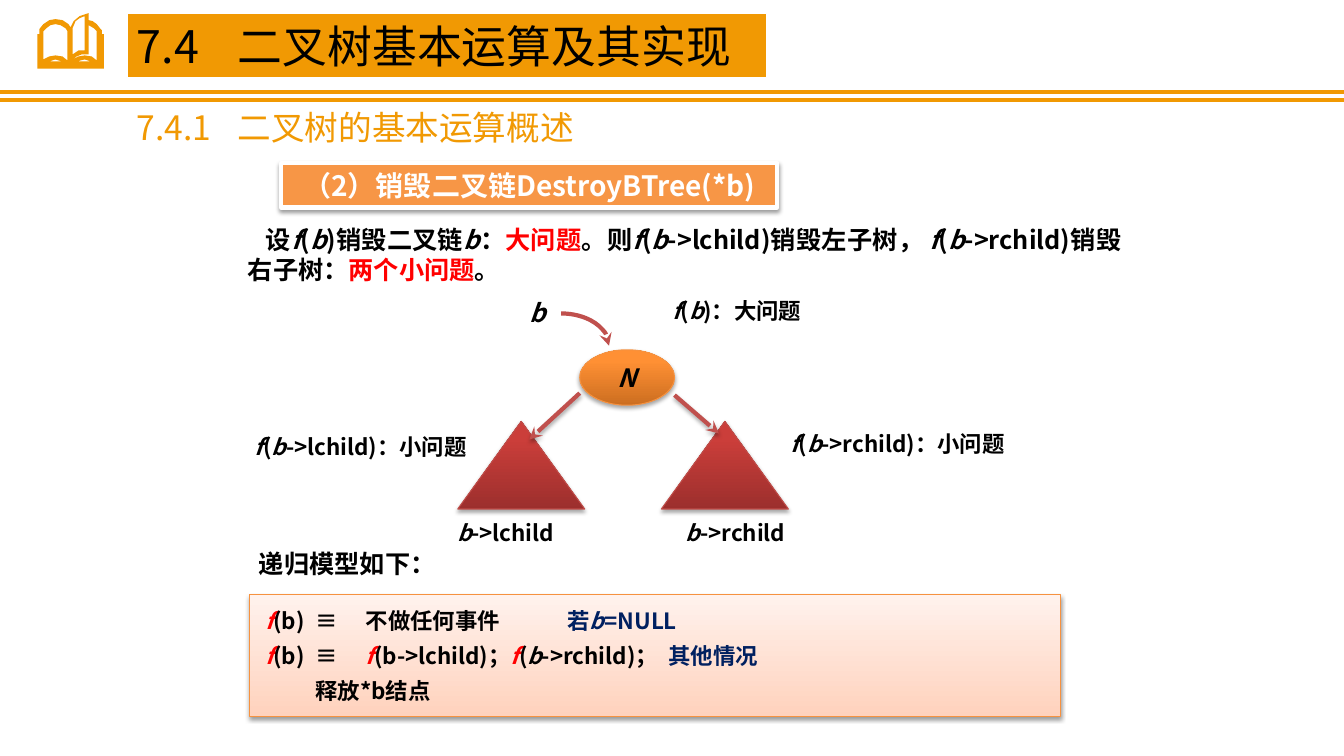
from lxml.etree import SubElement
from pptx import Presentation
from pptx.dml.color import RGBColor
from pptx.enum.shapes import MSO_CONNECTOR, MSO_SHAPE
from pptx.enum.text import MSO_ANCHOR, PP_ALIGN
from pptx.oxml.ns import qn
from pptx.util import Emu, Inches, Pt

FONT = "Noto Sans CJK SC"
COLORS = {
    "gold": "F19903", "orange": "F79646", "edge": "F69240", "white": "FFFFFF",
    "black": "000000", "red": "FF0000", "navy": "002060", "arrow": "C0504D",
    "node_dark": "CC6E20", "node_light": "FF9034",
    "tree_dark": "9C2F2D", "tree_light": "CB3E3A", "tree_edge": "BF4C48",
    "model_dark": "FFD2BD", "model_light": "FFF2ED",
}
COLS, ROWS = 133.3, 75  # grid cells, a tenth of an inch each


def rgb(name):
    return RGBColor.from_string(COLORS[name])


class SlideBuilder:
    def __init__(self, prs):
        self.slide = prs.slides.add_slide(prs.slide_layouts[6])
        self.col = prs.slide_width / COLS
        self.row = prs.slide_height / ROWS

    def grid(self, *cells):
        """Turn alternating columns and rows into lengths."""
        return [Emu(round(c * (self.row if i % 2 else self.col)))
                for i, c in enumerate(cells)]

    def effects(self, sp, alpha=0):
        """Give the shape a soft shadow below it, or none."""
        props = sp._element.spPr
        for old in props.findall(qn("a:effectLst")):
            props.remove(old)
        effects = SubElement(props, qn("a:effectLst"))
        if alpha:
            shadow = SubElement(effects, qn("a:outerShdw"), blurRad=str(Pt(3.1)),
                                dist=str(Pt(1.7)), dir="5400000", rotWithShape="0")
            color = SubElement(shadow, qn("a:srgbClr"), val=COLORS["black"])
            SubElement(color, qn("a:alpha"), val=str(alpha * 1000))

    def stroke(self, sp, color, width, arrow=False):
        sp.line.color.rgb = rgb(color)
        sp.line.width = Pt(width)
        if arrow:
            SubElement(sp._element.spPr.find(qn("a:ln")), qn("a:tailEnd"), type="stealth")

    def shape(self, kind, box, fill=None, line=None, width=0.75, shadow=0, arrow=False):
        """fill is a colour, a (bottom, top, stop) gradient or nothing."""
        sp = self.slide.shapes.add_shape(kind, *self.grid(*box))
        if isinstance(fill, tuple):
            bottom, top, stop = fill
            sp.fill.gradient()
            sp.fill.gradient_angle = 90
            for gs, color, pos in zip(sp.fill.gradient_stops, (bottom, top), (0, stop)):
                gs.color.rgb, gs.position = rgb(color), pos
        elif fill:
            sp.fill.solid()
            sp.fill.fore_color.rgb = rgb(fill)
        else:
            sp.fill.background()
        self.stroke(sp, line, width, arrow)
        self.effects(sp, shadow)
        return sp

    def line(self, ends, color, arrow=False, shadow=0):
        sp = self.slide.shapes.add_connector(MSO_CONNECTOR.STRAIGHT, *self.grid(*ends))
        self.stroke(sp, color, 3, arrow)
        self.effects(sp, shadow)

    def outline(self, contours, color):
        first, *others = contours
        builder = self.slide.shapes.build_freeform(*first[0], scale=self.col / 10)
        builder.add_line_segments(first[1:])
        for contour in others:
            builder.move_to(*contour[0])
            builder.add_line_segments(contour[1:])
        sp = builder.convert_to_shape()
        sp.fill.solid()
        sp.fill.fore_color.rgb = rgb(color)
        sp.line.fill.background()
        self.effects(sp)

    def text(self, box, *paragraphs, **style):
        sp = self.slide.shapes.add_textbox(*self.grid(*box))
        self.set_text(sp, *paragraphs, **style)

    def set_text(self, sp, *paragraphs, size=16, color="black", bold=True,
                 align=PP_ALIGN.LEFT, tabs=(), indents=(0,), before=0,
                 inset=(0.1, 0.05), wrap=True):
        """A paragraph lists (text, colour) parts; _ switches italics on and off."""
        tf = sp.text_frame
        tf.word_wrap = wrap
        tf.vertical_anchor = MSO_ANCHOR.MIDDLE
        tf.margin_left = tf.margin_right = Inches(inset[0])
        tf.margin_top = tf.margin_bottom = Inches(inset[1])
        for i, parts in enumerate(paragraphs):
            p = tf.add_paragraph() if i else tf.paragraphs[0]
            p.alignment = align
            if i:
                p.space_before = Pt(before)
            props = p._p.get_or_add_pPr()
            props.set("indent", str(Inches(indents[i])))
            if tabs:
                stops = SubElement(props, qn("a:tabLst"))
                for stop in tabs:
                    SubElement(stops, qn("a:tab"), pos=str(Inches(stop)), algn="l")
            p.font.size, p.font.bold, p.font.name = Pt(size), bold, FONT
            p.font.color.rgb = rgb(color)
            SubElement(props.find(qn("a:defRPr")), qn("a:ea"), typeface=FONT)
            if isinstance(parts, str):
                parts = [(parts, color)]
            for part, part_color in parts:
                for n, piece in enumerate(part.split("_")):
                    if piece:
                        r = p.add_run()
                        r.text = piece
                        r.font.italic = n % 2 == 1
                        r.font.color.rgb = rgb(part_color)


def main():
    prs = Presentation()
    prs.slide_width, prs.slide_height = Inches(13.33), Inches(7.5)
    s = SlideBuilder(prs)

    # Header rules and open book icon, in hundredths of an inch
    for y in (9.1, 9.9):
        s.line((0, y, COLS, y), "gold")
    s.outline([
        [(101, 34), (101, 30), (100, 29), (96, 24), (92, 21), (88, 20), (88, 13),
         (79, 16), (73, 21), (70, 27), (68, 24), (62, 20), (55, 19), (49, 20),
         (43, 24), (39, 29), (39, 34), (37, 34), (37, 68), (103, 68), (103, 34)],
        [(49, 61), (52, 59.5), (55, 59), (58, 59.5), (62, 61)],
        [(67, 60), (62, 56), (55, 55), (49, 56), (43, 59), (43, 31), (46, 28),
         (50, 25), (55, 24), (60, 25), (65, 28), (67, 31)],
        [(84, 16), (84, 50), (78, 50.5), (72, 54), (72, 28), (75, 21), (79, 18)],
        [(77, 61), (80, 59.5), (84, 59), (87, 59.5), (90, 61)],
        [(96, 60), (91, 56), (84, 55), (78, 56), (72, 59), (76, 55.5), (81, 54),
         (88, 54), (88, 25), (93, 28), (96, 31)],
    ], "gold")

    # Title and section
    title = s.shape(MSO_SHAPE.RECTANGLE, (12.6, 1.3, 63.4, 6.4), "gold", "white")
    s.set_text(title, "7.4\t二叉树基本运算及其实现", size=32, bold=False, tabs=(0.93,))
    s.text((12.6, 10.1, 63.3, 5), "7.4.1\t二叉树的基本运算概述",
           size=24, color="gold", bold=False, tabs=(1.04,))

    # Operation and its description
    label = s.shape(MSO_SHAPE.RECTANGLE, (27.9, 16.2, 49.2, 4.4), "orange", "white", 3, 38)
    s.set_text(label, "（2）销毁二叉链DestroyBTree(*b)", size=20, color="white",
               align=PP_ALIGN.CENTER)
    s.text((23.6, 21.7, 88.6, 7.1),
           [("设_f_(_b_)销毁二叉链_b_：", "black"), ("大问题", "red"),
            ("。则_f_(_b_->lchild)销毁左子树，_ f_(_b_->rchild)销毁右子树：", "black"),
            ("两个小问题", "red"), ("。", "black")],
           size=18, align=PP_ALIGN.JUSTIFY, indents=(0.18,))

    # Tree diagram
    node = s.shape(MSO_SHAPE.OVAL, (57.5, 34.7, 9.4, 5.5),
                   ("node_dark", "node_light", 0.8), "edge", shadow=35)
    s.set_text(node, "_N_", size=18, align=PP_ALIGN.CENTER, wrap=False)
    s.shape(MSO_SHAPE.ARC, (50.9, 31.1, 9.5, 6.4), None, "arrow", 3, arrow=True)
    s.text((49.4, 29, 7.9, 4), "_b_", size=18, align=PP_ALIGN.CENTER)
    children = [
        ("_b_->lchild", 45.4, 40.7, (57.5, 39, 52.5, 43.6)),
        ("_b_->rchild", 65.6, 63.5, (66.9, 39.2, 71.3, 43)),
    ]
    for name, tree_x, name_x, branch in children:
        s.shape(MSO_SHAPE.ISOSCELES_TRIANGLE, (tree_x, 41.8, 12.6, 8.7),
                ("tree_dark", "tree_light", 0.8), "tree_edge", shadow=35)
        s.line(branch, "arrow", arrow=True, shadow=35)
        s.text((name_x, 51, 18.9, 3.7), name, align=PP_ALIGN.CENTER)

    # Problem labels
    for x, y, width, problem in [
        (65.7, 29, 18.8, "_f_(_b_)：大问题"),
        (24.3, 42.5, 24.7, "_f_(_b_->lchild)：小问题"),
        (77.4, 42.2, 27.1, "_f_(_b_->rchild)：小问题"),
    ]:
        s.text((x, y, width, 3.7), problem)

    # Recursive model
    s.text((24.7, 53.9, 39.8, 4), "递归模型如下：", size=18)
    model = s.shape(MSO_SHAPE.RECTANGLE, (24.7, 59, 80.5, 12.1),
                    ("model_dark", "model_light", 1), "edge", shadow=38)
    s.set_text(model,
               [("_f_", "red"), ("(b)\t≡\t不做任何事件\t\t", "black"),
                ("若_b_=NULL", "navy")],
               [("_f_", "red"), ("(b)\t≡\t", "black"), ("_f_", "red"),
                ("(b->lchild)；", "black"), ("_f_", "red"),
                ("(_b_->rchild)；\t", "black"), ("其他情况", "navy")],
               "释放*b结点",
               tabs=(0.5, 0.87, 5, 6), indents=(0, 0, 0.5), before=6, inset=(0.16, 0.12))

    prs.save("out.pptx")


if __name__ == "__main__":
    main()
